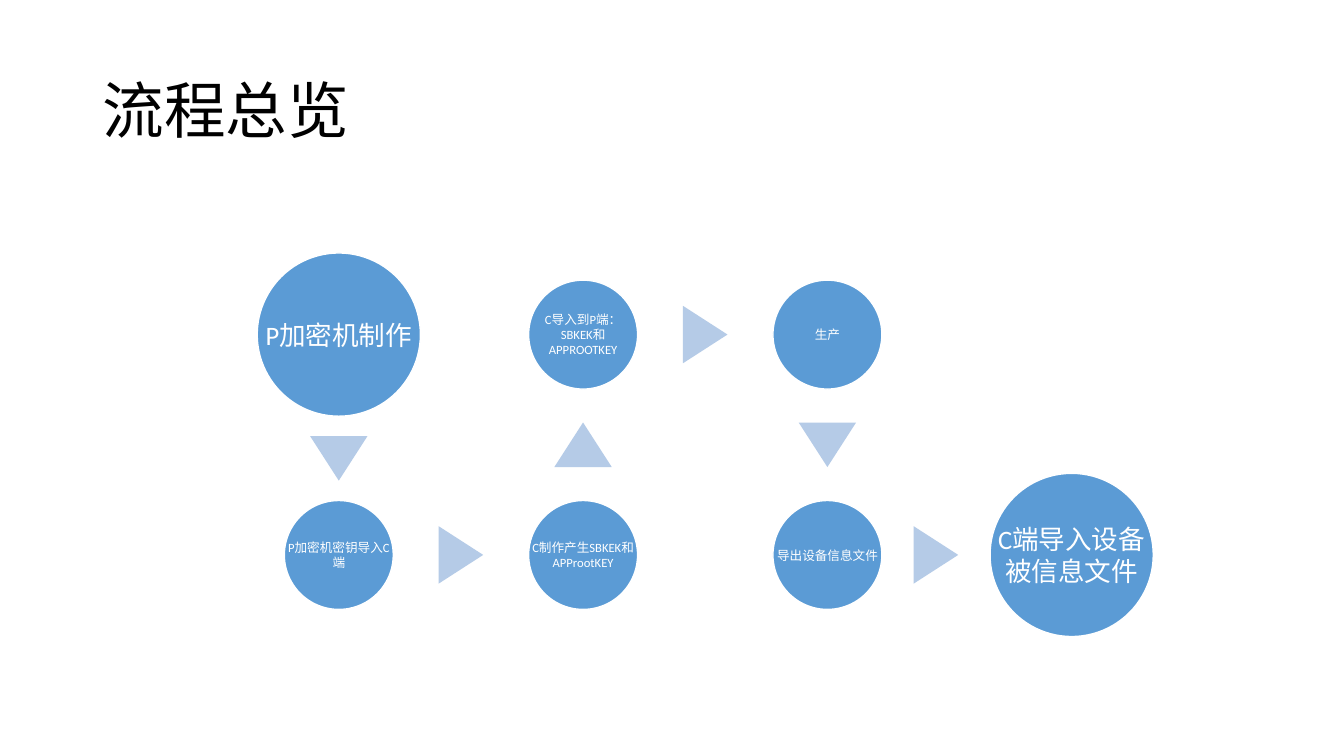
from itertools import pairwise
from math import atan2, degrees, hypot

from pptx import Presentation
from pptx.dml.color import RGBColor
from pptx.enum.shapes import MSO_SHAPE
from pptx.enum.text import MSO_ANCHOR, MSO_AUTO_SIZE, PP_ALIGN
from pptx.util import Pt

FONT = "Calibri"
COLUMNS = [242 + 174.5 * number for number in range(4)]
UPPER, LOWER = 239, 396.4
LARGE, SMALL = 116.6, 77.8
ARROW_WIDTH, ARROW_HEIGHT = 41, 31.8
TEXT_SIZES = {LARGE: 19, SMALL: 9}
INSETS = {LARGE: 2, SMALL: 0.9}

# Text, column, row centre, diameter
STEPS = [
    ("P加密机制作", 0, UPPER, LARGE),
    ("P加密机密钥导入C端", 0, LOWER, SMALL),
    ("C制作产生SBKEK和APProotKEY", 1, LOWER, SMALL),
    ("C导入到P端：SBKEK和APPROOTKEY", 1, UPPER, SMALL),
    ("生产", 2, UPPER, SMALL),
    ("导出设备信息文件", 2, LOWER, SMALL),
    ("C端导入设备被信息文件", 3, LOWER, LARGE),
]


def color(value):
    """Turn a hex string into a colour."""
    return RGBColor.from_string(value)


def centred(x, y, width, height):
    """Return left, top, width and height around a centre."""
    return Pt(x - width / 2), Pt(y - height / 2), Pt(width), Pt(height)


def add_text(para, text, size, text_color):
    """Add one formatted run to a paragraph."""
    span = para.add_run()
    span.text = text
    span.font.name = FONT
    span.font.size = Pt(size)
    span.font.color.rgb = color(text_color)


def add_title(page, text):
    """Place and fill the title placeholder."""
    title = page.shapes.title
    title.left, title.top, title.width, title.height = Pt(66), Pt(28.75), Pt(828), Pt(104.4)
    frame = title.text_frame
    frame.auto_size = MSO_AUTO_SIZE.NONE
    frame.vertical_anchor = MSO_ANCHOR.MIDDLE
    para = frame.paragraphs[0]
    para.alignment = PP_ALIGN.LEFT
    para.line_spacing = 0.9
    add_text(para, text, 44, "000000")


def add_step(shapes, text, column, y, diameter):
    """Add a circle and a label that may use its full width."""
    bounds = centred(COLUMNS[column], y, diameter, diameter)
    circle = shapes.add_shape(MSO_SHAPE.OVAL, *bounds)
    circle.shadow.inherit = False
    circle.fill.solid()
    circle.fill.fore_color.rgb = color("5B9BD5")
    circle.line.color.rgb = color("FFFFFF")
    circle.line.width = Pt(1)

    frame = shapes.add_textbox(*bounds).text_frame
    frame.word_wrap = True
    frame.vertical_anchor = MSO_ANCHOR.MIDDLE
    inset = Pt(INSETS[diameter])
    frame.margin_left = frame.margin_right = inset
    frame.margin_top = frame.margin_bottom = inset
    para = frame.paragraphs[0]
    para.alignment = PP_ALIGN.CENTER
    add_text(para, text, TEXT_SIZES[diameter], "FFFFFF")


def add_arrow(shapes, start, end):
    """Add a triangle midway in the gap between two steps, pointing to the second."""
    _, start_column, start_y, start_diameter = start
    _, end_column, end_y, end_diameter = end
    start_x = COLUMNS[start_column]
    across, down = COLUMNS[end_column] - start_x, end_y - start_y
    share = 0.5 + (start_diameter - end_diameter) / 4 / hypot(across, down)
    bounds = centred(start_x + across * share, start_y + down * share,
                     ARROW_WIDTH, ARROW_HEIGHT)
    arrow = shapes.add_shape(MSO_SHAPE.ISOSCELES_TRIANGLE, *bounds)
    arrow.rotation = degrees(atan2(across, -down))
    arrow.shadow.inherit = False
    arrow.fill.solid()
    arrow.fill.fore_color.rgb = color("B5CBE7")
    arrow.line.fill.background()


def main():
    """Build the process overview."""
    deck = Presentation()
    deck.slide_width, deck.slide_height = Pt(960), Pt(540)
    page = deck.slides.add_slide(deck.slide_layouts[5])
    add_title(page, "流程总览")
    flow = page.shapes.add_group_shape().shapes
    for step in STEPS:
        add_step(flow, *step)
    for start, end in pairwise(STEPS):
        add_arrow(flow, start, end)
    deck.save("out.pptx")


main()
